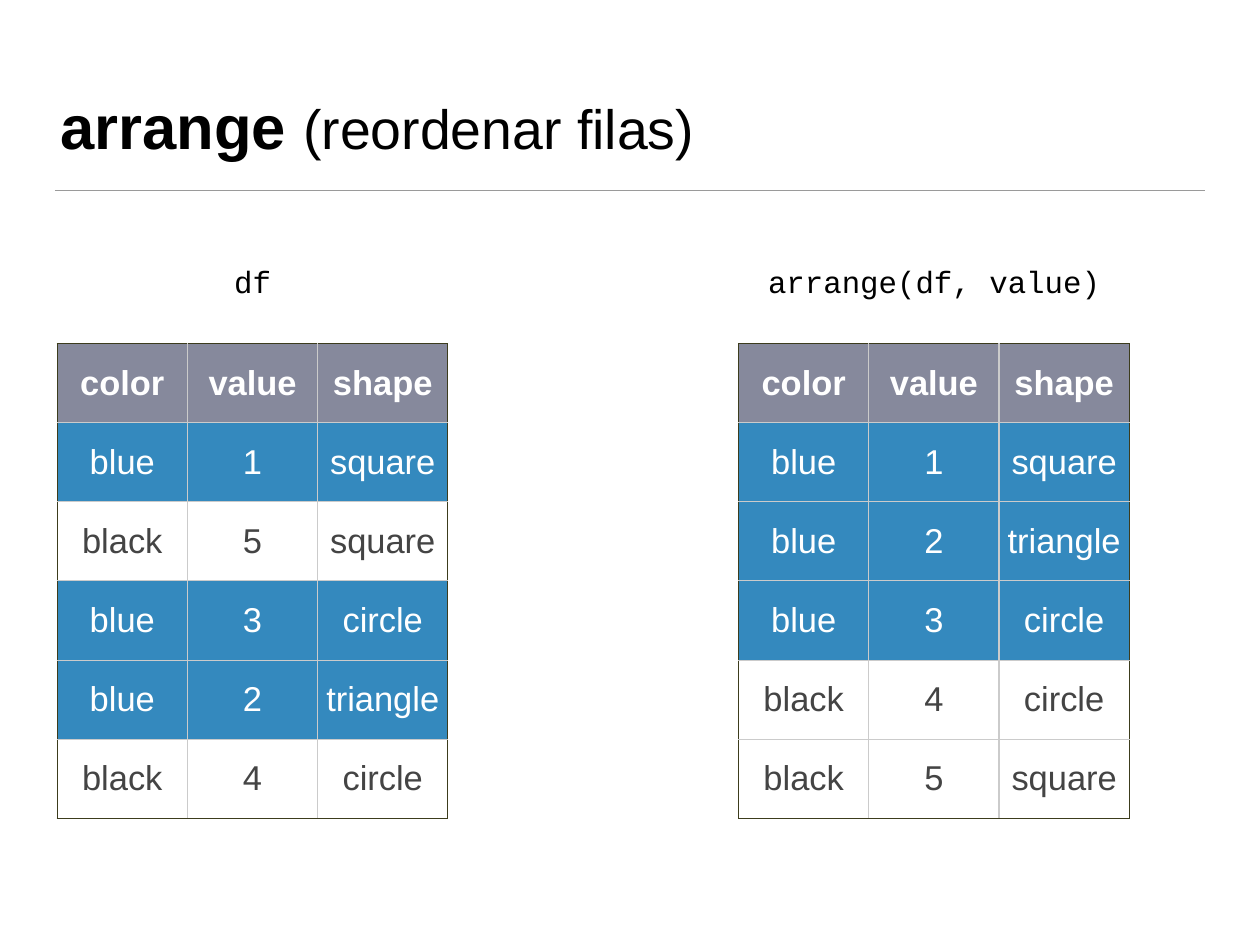
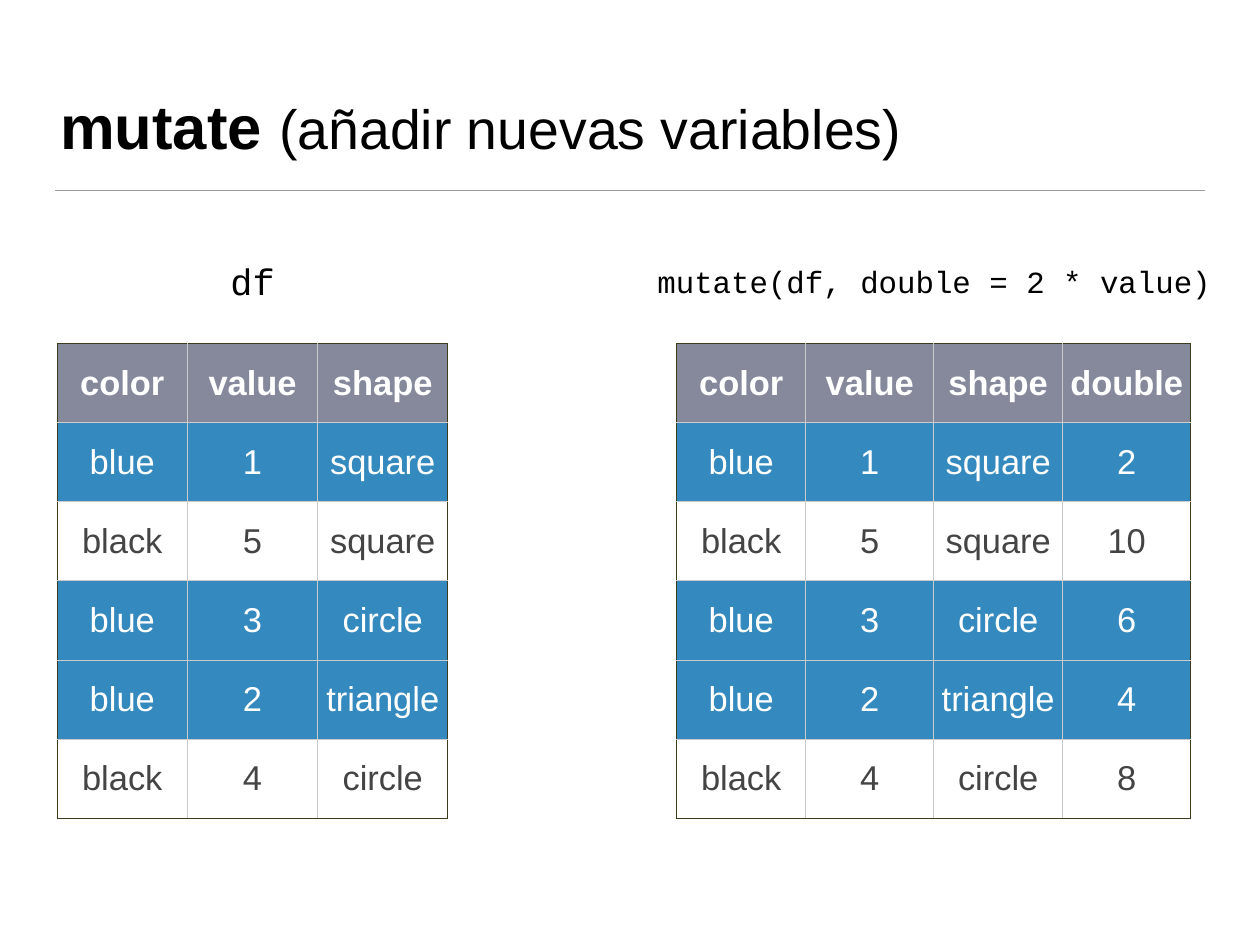
from pptx import Presentation
from pptx.dml.color import RGBColor
from pptx.enum.shapes import MSO_CONNECTOR
from pptx.enum.text import MSO_ANCHOR, MSO_AUTO_SIZE, PP_ALIGN
from pptx.oxml.ns import qn
from pptx.util import Inches, Pt
from lxml.etree import SubElement

COLORS = {
    "text": "000000",
    "rule": "9A9A9A",
    "header": "86899C",
    "blue": "3489BE",
    "light": "FFFFFF",
    "dark": "444444",
    "frame": "3C3C1D",
    "grid": "CBCBCB",
}
INSET = Inches(0.06)
LEFT_CENTER, RIGHT_CENTER = 2.85, 10.54
LABEL_MIDDLE = 3.17
TABLE_TOP, TABLE_HEIGHT = 3.88, 5.36

HEADER = ("color", "value", "shape")
DF = [
    ("blue", 1, "square"),
    ("black", 5, "square"),
    ("blue", 3, "circle"),
    ("blue", 2, "triangle"),
    ("black", 4, "circle"),
]
ARRANGED = sorted(DF, key=lambda row: row[1])
MUTATED = [(*row, 2 * row[1]) for row in DF]

# verb, explanation, then (label, label size, center, column width, rows) per table
SLIDES = [
    ("arrange", "(reordenar filas)", [
        ("df", 25, LEFT_CENTER, 1.47, [HEADER, *DF]),
        ("arrange(df, value)", 25, RIGHT_CENTER, 1.47, [HEADER, *ARRANGED]),
    ]),
    ("mutate", "(añadir nuevas variables)", [
        ("df", 30, LEFT_CENTER, 1.47, [HEADER, *DF]),
        ("mutate(df, double = 2 * value)", 25, RIGHT_CENTER, 1.45,
         [(*HEADER, "double"), *MUTATED]),
    ]),
]


def add_text(s, x, y, w, h, anchor):
    """Add an empty text box and return its text frame."""
    tf = s.shapes.add_textbox(Inches(x), Inches(y), Inches(w), Inches(h)).text_frame
    tf.margin_left = tf.margin_right = tf.margin_top = tf.margin_bottom = INSET
    tf.vertical_anchor = anchor
    tf.word_wrap = True
    return tf


def style_font(font, size, name, color, bold=False):
    font.size, font.name, font.bold = Pt(size), name, bold
    font.color.rgb = RGBColor.from_string(COLORS[color])


prs = Presentation()
prs.slide_width, prs.slide_height = Inches(14.22), Inches(10.67)

for verb, explanation, tables in SLIDES:
    s = prs.slides.add_slide(prs.slide_layouts[6])

    rule = s.shapes.add_connector(MSO_CONNECTOR.STRAIGHT, Inches(0.62), Inches(2.15),
                                  Inches(13.6), Inches(2.15))
    rule.line.color.rgb = RGBColor.from_string(COLORS["rule"])
    rule.line.width = Pt(1)
    SubElement(rule._element.spPr, qn("a:effectLst"))

    p = add_text(s, 0.62, 0.36, 12.97, 1.53, MSO_ANCHOR.BOTTOM).paragraphs[0]
    for text, size, bold in ((verb + " ", 50, True), (explanation, 45, False)):
        r = p.add_run()
        r.text = text
        style_font(r.font, size, "Arial", "text", bold)

    for label, size, center, col_width, rows in tables:
        # Courier characters are 0.6 em wide
        w = len(label) * 0.6 * size / 72 + 0.12
        h = size * 0.0216
        tf = add_text(s, center - w / 2, LABEL_MIDDLE - h / 2, w, h, MSO_ANCHOR.MIDDLE)
        tf.word_wrap = False
        tf.auto_size = MSO_AUTO_SIZE.SHAPE_TO_FIT_TEXT
        p = tf.paragraphs[0]
        p.text = label
        p.alignment = PP_ALIGN.CENTER
        style_font(p.font, size, "Courier New", "text")

        n_rows, n_cols = len(rows), len(rows[0])
        w = n_cols * col_width
        table = s.shapes.add_table(n_rows, n_cols, Inches(center - w / 2), Inches(TABLE_TOP),
                                   Inches(w), Inches(TABLE_HEIGHT)).table
        table.horz_banding = False
        for i, row in enumerate(rows):
            fill = "header" if i == 0 else "blue" if row[0] == "blue" else None
            for j, value in enumerate(row):
                cell = table.cell(i, j)
                cell.margin_left = cell.margin_right = INSET
                cell.margin_top = cell.margin_bottom = INSET
                cell.vertical_anchor = MSO_ANCHOR.MIDDLE
                p = cell.text_frame.paragraphs[0]
                p.text = str(value)
                p.alignment = PP_ALIGN.CENTER
                style_font(p.font, 28, "Arial", "light" if fill else "dark", i == 0)

                outer_edges = {"lnL": j == 0, "lnR": j == n_cols - 1,
                               "lnT": i == 0, "lnB": i == n_rows - 1}
                tc_pr = cell._tc.get_or_add_tcPr()
                for tag, is_outer in outer_edges.items():
                    ln = SubElement(tc_pr, qn("a:" + tag), w=str(Pt(1)))
                    solid = SubElement(ln, qn("a:solidFill"))
                    SubElement(solid, qn("a:srgbClr"),
                               val=COLORS["frame" if is_outer else "grid"])
                if fill:
                    cell.fill.solid()
                    cell.fill.fore_color.rgb = RGBColor.from_string(COLORS[fill])
                else:
                    cell.fill.background()

prs.save("out.pptx")
